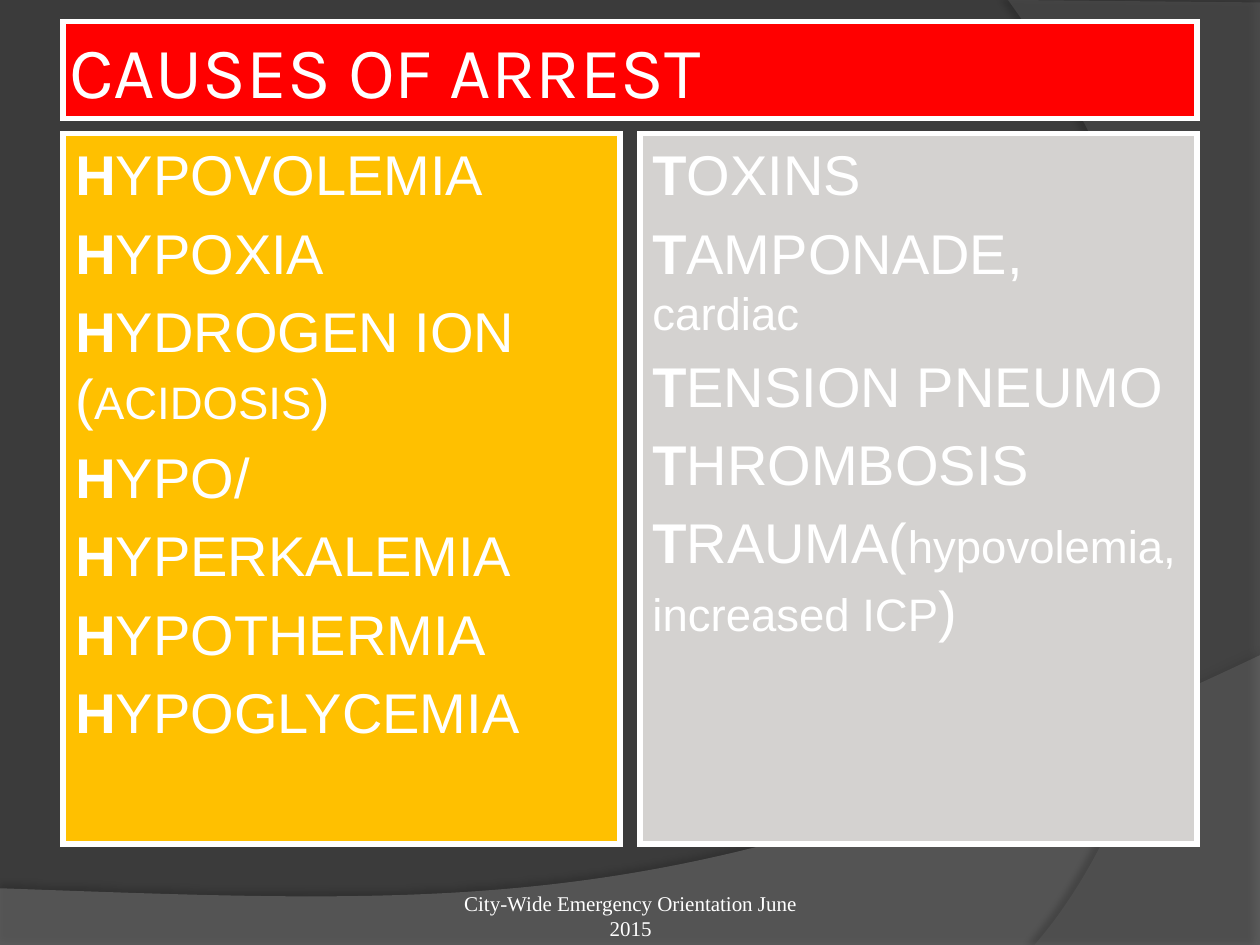
from typing import NamedTuple

from lxml import etree
from pptx import Presentation
from pptx.dml.color import RGBColor
from pptx.enum import shapes, text
from pptx.oxml import ns
from pptx.util import Inches, Pt

WHITE = "FFFFFF"
BIG, SMALL = 32, 26


class Part(NamedTuple):
    words: str
    size: int = BIG


class Panel(NamedTuple):
    left: float
    fill: str
    initial: str
    causes: list[list[Part]]


class Swoosh(NamedTuple):
    """A closed outline: one cubic curve followed by straight corners."""
    curve: list[tuple[float, float]]
    corners: list[tuple[float, float]]
    fill: str
    opacity: int
    shadow_opacity: int
    distance: float
    angle: int


SWOOSHES = [
    Swoosh([(10, 5.2), (5.59, 7.29), (3.91, 7.19), (0, 7.05)],
           [(0, 7.51), (10, 7.51)], "7F7F7F", 45, 35, 3.5, 270),
    Swoosh([(8.21, 7.5), (9.35, 6.19), (10.18, 3), (8, 0)],
           [(10, 0.02), (10, 7.5)], "5E5E5E", 40, 45, 4, 180),
]

PANELS = [
    Panel(0.5, "FFC000", "H", [
        [Part("YPOVOLEMIA")],
        [Part("YPOXIA")],
        [Part("YDROGEN ION ("), Part("ACIDOSIS", SMALL), Part(")")],
        [Part("YPO/")],
        [Part("YPERKALEMIA")],
        [Part("YPOTHERMIA")],
        [Part("YPOGLYCEMIA")],
    ]),
    Panel(5.08, "D4D2D0", "T", [
        [Part("OXINS")],
        [Part("AMPONADE, "), Part("cardiac", SMALL)],
        [Part("ENSION PNEUMO")],
        [Part("HROMBOSIS")],
        [Part("RAUMA("), Part("hypovolemia, increased ICP", SMALL), Part(")")],
    ]),
]


def rgb(value: str) -> RGBColor:
    return RGBColor.from_string(value)


def set_font(font, name: str, size: float) -> None:
    font.name, font.size = name, Pt(size)
    font.color.rgb = rgb(WHITE)


def add_alpha(color, percent: int) -> None:
    etree.SubElement(color, ns.qn("a:alpha"), val=str(percent * 1000))


def bend_first_segment(sp, curve: list[tuple[float, float]]) -> None:
    """Turn the first straight segment of a freeform into a cubic curve."""
    segment = sp.element.spPr.find(".//" + ns.qn("a:lnTo"))
    bend = etree.Element(ns.qn("a:cubicBezTo"))
    for x, y in curve[1:]:
        etree.SubElement(bend, ns.qn("a:pt"), x=str(Inches(x) - sp.left),
                         y=str(Inches(y) - sp.top))
    segment.getparent().replace(segment, bend)


def add_swoosh(s, swoosh: Swoosh) -> None:
    anchors = [swoosh.curve[0], swoosh.curve[-1], *swoosh.corners]
    start, *rest = [(Inches(x), Inches(y)) for x, y in anchors]
    builder = s.shapes.build_freeform(*start)
    builder.add_line_segments(rest, close=True)
    sp = builder.convert_to_shape()
    bend_first_segment(sp, swoosh.curve)
    sp.fill.solid()
    sp.fill.fore_color.rgb = rgb(swoosh.fill)
    sp.line.fill.background()
    sp_pr = sp.element.spPr
    add_alpha(sp_pr.find(ns.qn("a:solidFill"))[0], swoosh.opacity)
    effects = etree.SubElement(sp_pr, ns.qn("a:effectLst"))
    shadow = etree.SubElement(effects, ns.qn("a:outerShdw"), blurRad=str(Pt(4)),
                              dist=str(Pt(swoosh.distance)), dir=str(swoosh.angle * 60000),
                              rotWithShape="0")
    add_alpha(etree.SubElement(shadow, ns.qn("a:srgbClr"), val="000000"), swoosh.shadow_opacity)


def add_box(s, left: float, top: float, width: float, height: float, fill: str):
    """Add a filled box with a sharp-cornered white border."""
    sp = s.shapes.add_shape(shapes.MSO_SHAPE.RECTANGLE, Inches(left), Inches(top),
                            Inches(width), Inches(height))
    sp.shadow.inherit = False
    sp.fill.solid()
    sp.fill.fore_color.rgb = rgb(fill)
    sp.line.color.rgb = rgb(WHITE)
    sp.line.width = Pt(3)
    etree.SubElement(sp.element.spPr.find(ns.qn("a:ln")), ns.qn("a:miter"), lim="800000")
    sp.text_frame.word_wrap = True
    return sp


def add_title(s, title: str) -> None:
    tf = add_box(s, 0.5, 0.17, 9, 0.77, "FF0000").text_frame
    tf.margin_left = tf.margin_right = tf.margin_top = tf.margin_bottom = Inches(0.05)
    tf.vertical_anchor = text.MSO_ANCHOR.MIDDLE
    p = tf.paragraphs[0]
    p.text = title
    p.alignment = text.PP_ALIGN.LEFT
    set_font(p.font, "Karla", 41.4)


def add_panel(s, panel: Panel) -> None:
    tf = add_box(s, panel.left, 1.06, 4.42, 5.64, panel.fill).text_frame
    tf.vertical_anchor = text.MSO_ANCHOR.TOP
    for i, parts in enumerate(panel.causes):
        p = tf.add_paragraph() if i else tf.paragraphs[0]
        p.alignment = text.PP_ALIGN.LEFT
        p.space_before = Pt(6.4 if i else 0)
        set_font(p.font, "Arial", BIG)
        r = p.add_run()
        r.text = panel.initial
        r.font.bold = True
        for part in parts:
            r = p.add_run()
            r.text = part.words
            if part.size != BIG:
                r.font.size = Pt(part.size)


def add_footer(s, footer: str) -> None:
    tf = s.shapes.add_textbox(Inches(3.42), Inches(7.02), Inches(3.17), Inches(0.4)).text_frame
    tf.word_wrap = True
    p = tf.paragraphs[0]
    p.text = footer
    p.alignment = text.PP_ALIGN.CENTER
    set_font(p.font, "Times New Roman", 12)


def main() -> None:
    prs = Presentation()
    prs.slide_width, prs.slide_height = Inches(10), Inches(7.5)
    s = prs.slides.add_slide(prs.slide_layouts[6])
    s.background.fill.solid()
    s.background.fill.fore_color.rgb = rgb("3B3B3B")
    for swoosh in SWOOSHES:
        add_swoosh(s, swoosh)
    add_title(s, "CAUSES OF ARREST")
    for panel in PANELS:
        add_panel(s, panel)
    add_footer(s, "City-Wide Emergency Orientation June 2015")
    prs.save("out.pptx")


if __name__ == "__main__":
    main()
